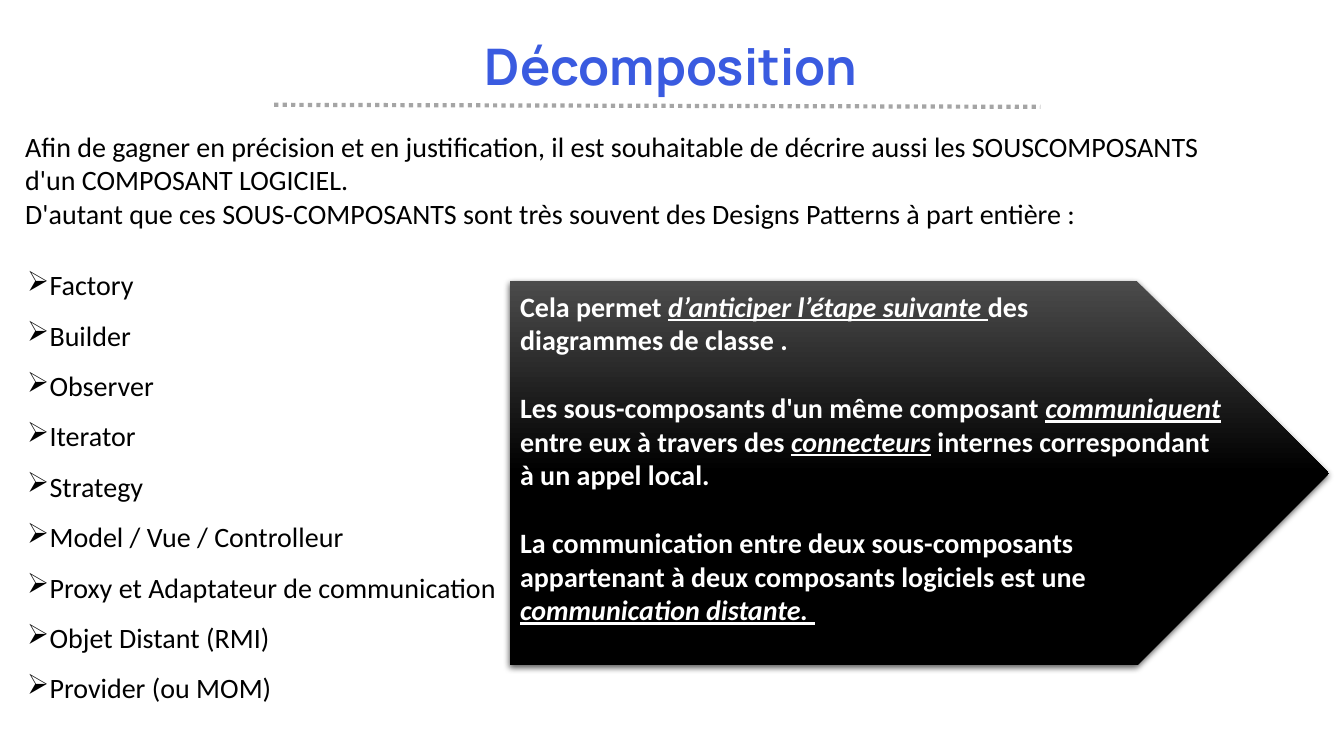
"""Build the « Décomposition » slide about software sub-components."""
from dataclasses import dataclass, field
from typing import Any

import pptx
import pptx.dml.color
import pptx.enum.dml
import pptx.enum.shapes
import pptx.enum.text
import pptx.oxml
import pptx.oxml.ns
import pptx.util
from pptx.util import Inches

BLUE = pptx.dml.color.RGBColor(0x3A, 0x5B, 0xE0)
GREY = pptx.dml.color.RGBColor(0xA5, 0xA5, 0xA5)
CHARCOAL = pptx.dml.color.RGBColor(0x4B, 0x4B, 0x4B)
BLACK = pptx.dml.color.RGBColor(0x00, 0x00, 0x00)
WHITE = pptx.dml.color.RGBColor(0xFF, 0xFF, 0xFF)

ALIGN = pptx.enum.text.PP_ALIGN
AUTO_SIZE = pptx.enum.text.MSO_AUTO_SIZE
DRAWING = pptx.oxml.ns.nsdecls("a")
NO_INSETS = dict.fromkeys(("margin_left", "margin_top", "margin_right", "margin_bottom"), 0)
BODY_FRAME = {**NO_INSETS, "auto_size": AUTO_SIZE.SHAPE_TO_FIT_TEXT}
TITLE_FONT = {"name": "Manrope", "size": pptx.util.Pt(36), "bold": True}
BODY_FONT = {"name": "Calibri", "size": pptx.util.Pt(20)}
EMPHASIS = {"italic": True, "underline": True}

PATTERNS = [
    "Factory", "Builder", "Observer", "Iterator", "Strategy",
    "Model / Vue / Controlleur", "Proxy et Adaptateur de communication",
    "Objet Distant (RMI)", "Provider (ou MOM)",
]
INTRODUCTION = [
    "Afin de gagner en précision et en justification, il est souhaitable de décrire aussi les SOUSCOMPOSANTS ",
    "d'un COMPOSANT LOGICIEL. ",
    "D'autant que ces SOUS-COMPOSANTS sont très souvent des Designs Patterns à part entière :",
]
ARROW_PARAGRAPHS = [
    ["Cela permet ", "d’anticiper l’étape suivante ", "des"],
    ["diagrammes de classe ."],
    ["Les sous-composants d'un même composant ", "communiquent",
     " entre eux à travers des ", "connecteurs",
     " internes correspondant à un appel local."],
    ["La communication entre deux sous-composants appartenant à deux composants logiciels est une ",
     "communication distante. "],
]
PARAGRAPH_GAP = pptx.util.Pt(24.4)


@dataclass
class TextBlock:
    """A text box; odd runs of each paragraph are emphasised."""
    left: float
    top: float
    width: float
    height: float
    paragraphs: list[list[str]]
    font: dict[str, Any]
    color: pptx.dml.color.RGBColor
    layout: dict[str, Any]
    frame: dict[str, Any] = field(default_factory=dict)
    bullet: str = ""
    hanging: float = 0


def apply_format(target: Any, values: dict[str, Any]) -> None:
    """Set each named attribute on the target."""
    for name, value in values.items():
        setattr(target, name, value)


def write_text(shape: Any, block: TextBlock) -> None:
    """Fill the shape with the paragraphs of the block."""
    frame = shape.text_frame
    apply_format(frame, {"word_wrap": True, **block.frame})
    for index, texts in enumerate(block.paragraphs):
        paragraph = frame.add_paragraph() if index else frame.paragraphs[0]
        apply_format(paragraph, block.layout)
        properties = paragraph._p.get_or_add_pPr()
        if block.hanging:
            properties.set("marL", str(Inches(block.hanging)))
            properties.set("indent", str(Inches(-block.hanging)))
        if block.bullet:
            properties.append(pptx.oxml.parse_xml(f'<a:buChar {DRAWING} char="{block.bullet}"/>'))
        for position, text in enumerate(texts):
            run = paragraph.add_run()
            run.text = text
            apply_format(run.font, {**block.font, **(EMPHASIS if position % 2 else {})})
            run.font.color.rgb = block.color


def block_bounds(block: TextBlock) -> list[int]:
    """Return the left, top, width and height of the block."""
    return [Inches(value) for value in (block.left, block.top, block.width, block.height)]


def add_text(slide: Any, block: TextBlock) -> None:
    """Add a text box for the block."""
    write_text(slide.shapes.add_textbox(*block_bounds(block)), block)


def add_title_rule(slide: Any) -> None:
    """Add the dotted line under the title."""
    rule = slide.shapes.add_connector(
        pptx.enum.shapes.MSO_CONNECTOR.STRAIGHT,
        Inches(2.72), Inches(1.04), Inches(10.32), Inches(1.06))
    rule.line.color.rgb = GREY
    apply_format(rule.line, {"width": pptx.util.Pt(3),
                             "dash_style": pptx.enum.dml.MSO_LINE.ROUND_DOT})
    rule._element.spPr.append(pptx.oxml.parse_xml(f"<a:effectLst {DRAWING}/>"))


def add_arrow(slide: Any, block: TextBlock) -> None:
    """Add the shaded pentagon arrow with its text."""
    arrow = slide.shapes.add_shape(pptx.enum.shapes.MSO_SHAPE.PENTAGON, *block_bounds(block))
    arrow.fill.gradient()
    arrow.fill.gradient_angle = 270
    for stop, position, color in zip(arrow.fill.gradient_stops, (0, 0.5), (CHARCOAL, BLACK)):
        stop.position = position
        stop.color.rgb = color
    arrow.line.fill.background()
    arrow._element.spPr.append(pptx.oxml.parse_xml(
        f'<a:effectLst {DRAWING}><a:outerShdw blurRad="57150" dist="19050" dir="5400000" '
        'algn="ctr" rotWithShape="0"><a:srgbClr val="000000"><a:alpha val="63000"/>'
        "</a:srgbClr></a:outerShdw></a:effectLst>"))
    write_text(arrow, block)
    for paragraph in arrow.text_frame.paragraphs[2:]:
        paragraph.space_before = PARAGRAPH_GAP


def main() -> None:
    """Build and save the presentation."""
    presentation = pptx.Presentation()
    apply_format(presentation, {"slide_width": Inches(13.33), "slide_height": Inches(7.5)})
    slide = presentation.slides.add_slide(presentation.slide_layouts[6])
    add_text(slide, TextBlock(1.75, 0.3, 9.81, 1, [["Décomposition"]], TITLE_FONT, BLUE,
                              {"alignment": ALIGN.CENTER}))
    add_text(slide, TextBlock(0.27, 2.49, 5.21, 4.54, [[name] for name in PATTERNS],
                              BODY_FONT, BLACK,
                              {"alignment": ALIGN.JUSTIFY, "line_spacing": 1.5},
                              BODY_FRAME, bullet="➢"))
    add_title_rule(slide)
    add_text(slide, TextBlock(0.25, 1.28, 12.82, 1.01, [[line] for line in INTRODUCTION],
                              BODY_FONT, BLACK, {"alignment": ALIGN.JUSTIFY},
                              BODY_FRAME, hanging=0.31))
    add_arrow(slide, TextBlock(5.06, 2.79, 8.12, 3.81, ARROW_PARAGRAPHS,
                               {**BODY_FONT, "bold": True}, WHITE, {"alignment": ALIGN.LEFT},
                               {"vertical_anchor": pptx.enum.text.MSO_ANCHOR.TOP,
                                "margin_top": Inches(0.08)}))
    presentation.save("out.pptx")


if __name__ == "__main__":
    main()
